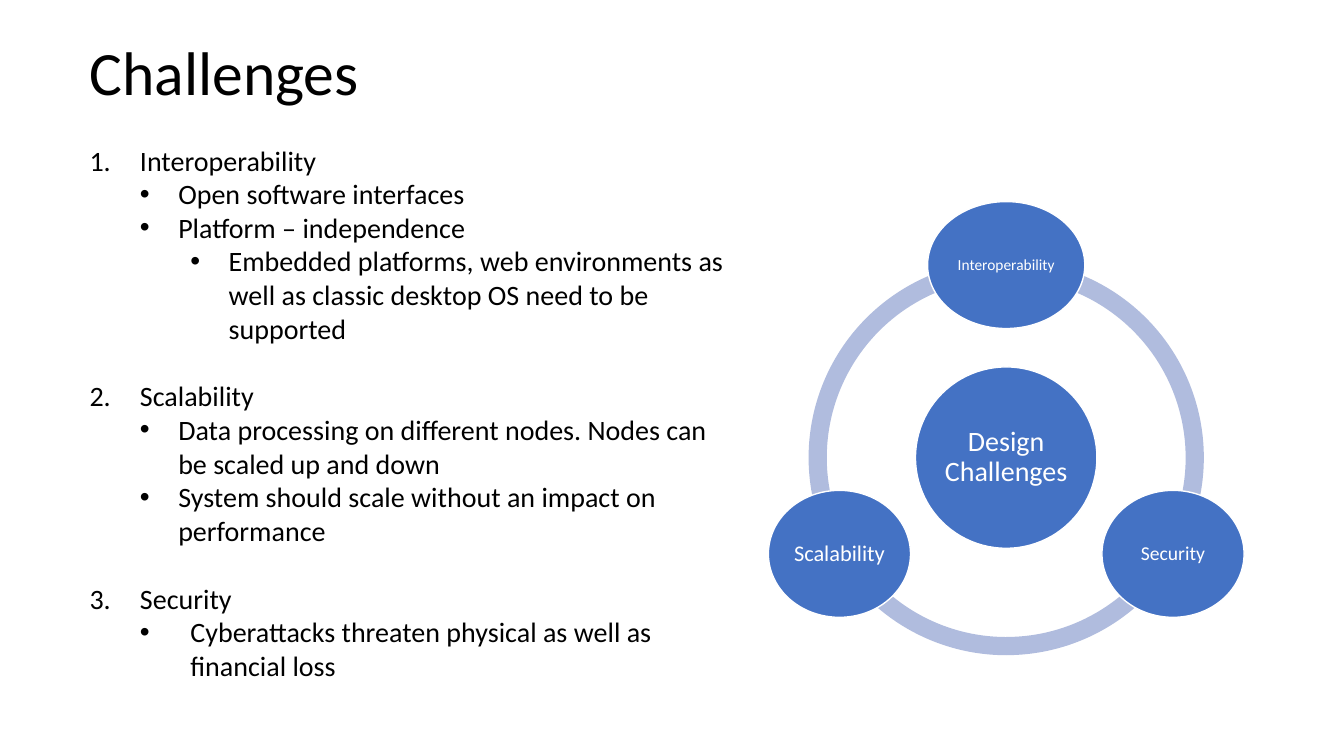
from math import cos, radians, sin

from lxml.etree import SubElement
from pptx import Presentation
from pptx.dml.color import RGBColor
from pptx.enum.shapes import MSO_SHAPE
from pptx.enum.text import MSO_ANCHOR, PP_ALIGN
from pptx.oxml.ns import qn
from pptx.util import Inches, Pt


def color(value):
    return RGBColor.from_string(value)


def add_text(paragraph, text, size, text_color):
    run = paragraph.add_run()
    run.text = text
    run.font.name = "Calibri"
    run.font.size = Pt(size)
    run.font.color.rgb = color(text_color)


presentation = Presentation()
presentation.slide_width = Inches(13.33)
presentation.slide_height = Inches(7.5)
slide = presentation.slides.add_slide(presentation.slide_layouts[6])

# Title
title = slide.shapes.add_textbox(Inches(0.79), Inches(0.02), Inches(11.5), Inches(1.45))
title.text_frame.word_wrap = True
title.text_frame.vertical_anchor = MSO_ANCHOR.MIDDLE
title_paragraph = title.text_frame.paragraphs[0]
title_paragraph.line_spacing = 0.9
add_text(title_paragraph, "Challenges", 44, "000000")

# Ring of three arcs: start and end angle in degrees
center_x, center_y = 9.98, 4.54
ring_size = 3.92
for start, end in [(90, 162), (18, 90), (162, 18)]:
    arc = slide.shapes.add_shape(
        MSO_SHAPE.BLOCK_ARC,
        Inches(center_x - ring_size / 2), Inches(center_y - ring_size / 2),
        Inches(ring_size), Inches(ring_size))
    arc.shadow.inherit = False
    # Angles are stored in 60000ths of a degree, adjustments in 100000ths
    arc.adjustments[0] = start * 0.6
    arc.adjustments[1] = end * 0.6
    arc.adjustments[2] = 0.046
    arc.fill.solid()
    arc.fill.fore_color.rgb = color("B0BCDE")
    arc.line.fill.background()

# Hub and nodes: label, distance from center, angle, width, height, text size
circles = [
    ("Design Challenges", 0, 0, 1.8, 1.8, 20),
    ("Interoperability", 1.91, 270, 1.56, 1.26, 11),
    ("Security", 1.91, 30, 1.41, 1.26, 14),
    ("Scalability", 1.91, 150, 1.41, 1.26, 16),
]
for label, distance, angle, width, height, size in circles:
    left = center_x + distance * cos(radians(angle)) - width / 2
    top = center_y + distance * sin(radians(angle)) - height / 2
    circle = slide.shapes.add_shape(
        MSO_SHAPE.OVAL, Inches(left), Inches(top), Inches(width), Inches(height))
    circle.shadow.inherit = False
    circle.fill.solid()
    circle.fill.fore_color.rgb = color("4472C4")
    circle.line.color.rgb = color("FFFFFF")
    circle.line.width = Pt(1)
    frame = circle.text_frame
    frame.word_wrap = True
    frame.vertical_anchor = MSO_ANCHOR.MIDDLE
    frame.margin_left = frame.margin_right = Inches(0.02)
    frame.margin_top = frame.margin_bottom = Inches(0.02)
    paragraph = frame.paragraphs[0]
    paragraph.alignment = PP_ALIGN.CENTER
    paragraph.line_spacing = 0.9
    add_text(paragraph, label, size, "FFFFFF")

# Challenge list: level, left margin, hanging indent, text
items = [
    (0, 0.5, 0.5, "Interoperability"),
    (1, 0.88, 0.38, "Open software interfaces"),
    (1, 0.88, 0.38, "Platform – independence"),
    (2, 1.38, 0.38, "Embedded platforms, web environments as well as "
                    "classic desktop OS need to be supported"),
    (0, 0.5, 0.5, "Scalability"),
    (1, 0.88, 0.38, "Data processing on different nodes. Nodes can be scaled up and down"),
    (1, 0.88, 0.38, "System should scale without an impact on performance"),
    (0, 0.5, 0.5, "Security"),
    (1, 1, 0.5, "Cyberattacks threaten physical as well as financial loss"),
]
body = slide.shapes.add_textbox(Inches(0.79), Inches(1.37), Inches(6.56), Inches(5.79))
body.text_frame.word_wrap = True
number = 0
for index, (level, margin, hanging, text) in enumerate(items):
    paragraph = body.text_frame.paragraphs[0] if index == 0 else body.text_frame.add_paragraph()
    paragraph.level = level
    if level == 0 and index > 0:
        paragraph.space_before = Pt(24.4)
    properties = paragraph._p.get_or_add_pPr()
    properties.set("marL", str(Inches(margin)))
    properties.set("indent", str(-Inches(hanging)))
    if level == 0:
        number += 1
        SubElement(properties, qn("a:buFont"), typeface="+mj-lt")
        SubElement(properties, qn("a:buAutoNum"), type="arabicPeriod", startAt=str(number))
    else:
        SubElement(properties, qn("a:buFont"), typeface="Arial")
        SubElement(properties, qn("a:buChar"), char="•")
    add_text(paragraph, text, 20, "000000")

presentation.save("out.pptx")
